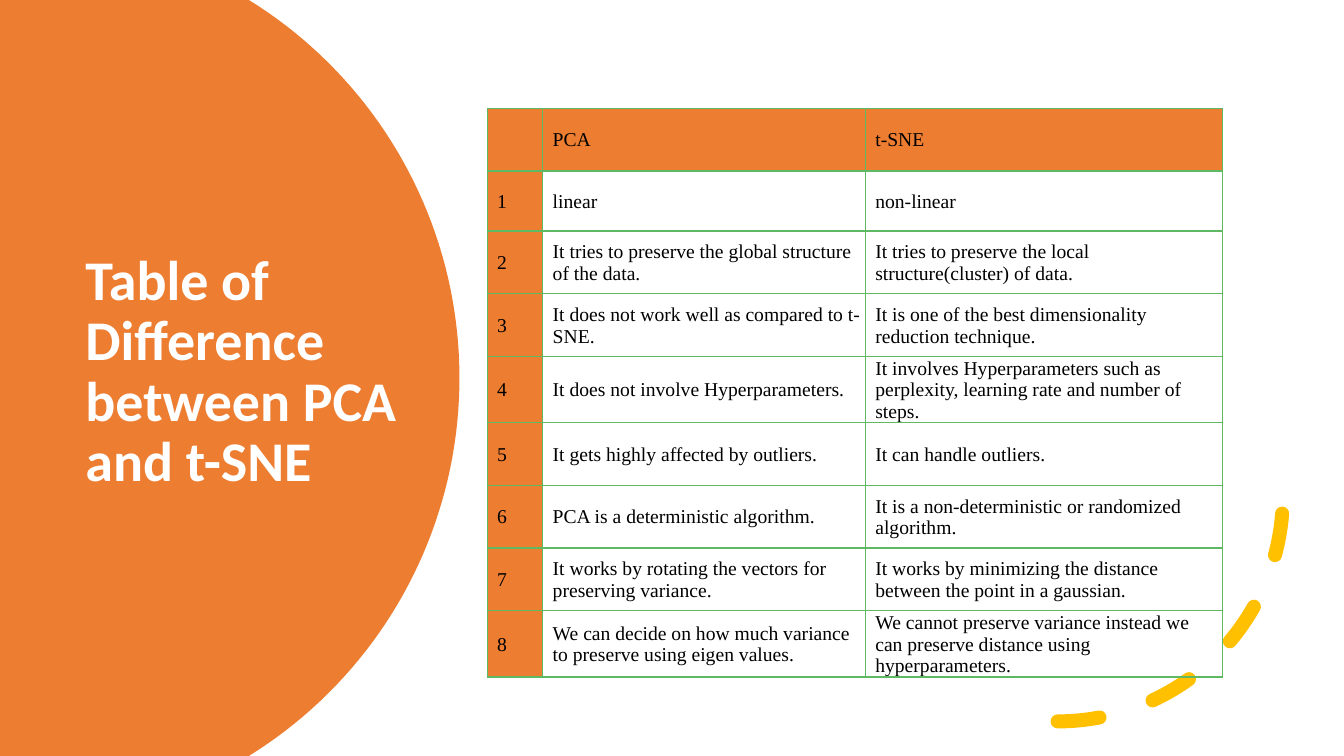
import math

import pptx
import pptx.dml.color
import pptx.enum.dml
import pptx.enum.shapes
import pptx.enum.text
import pptx.oxml
import pptx.oxml.ns
import pptx.util

Cm = pptx.util.Cm
Pt = pptx.util.Pt
RGBColor = pptx.dml.color.RGBColor
MIDDLE = pptx.enum.text.MSO_ANCHOR.MIDDLE

ORANGE = RGBColor(0xED, 0x7D, 0x31)
AMBER = RGBColor(0xFF, 0xC0, 0x00)
GREEN = RGBColor(0x5F, 0xB9, 0x62)
WHITE = RGBColor(0xFF, 0xFF, 0xFF)
BLACK = RGBColor(0x00, 0x00, 0x00)

SLIDE_WIDTH, SLIDE_HEIGHT = Cm(33.87), Cm(19.05)
NO_STYLE = "{2D5ABB26-0587-4C30-8999-92F81FD0307C}"
TITLE_FONT = {"name": "Calibri", "size": Pt(40), "bold": True}
CELL_FONT = {"name": "Times New Roman", "size": Pt(14), "bold": False}
CELL_FORMAT = {
    "vertical_anchor": MIDDLE,
    "margin_left": Cm(0.25),
    "margin_right": Cm(0.03),
    "margin_top": Cm(0.03),
    "margin_bottom": Cm(0),
}
COLUMN_WIDTHS = [1.4, 8.13, 9.0]
ROW_HEIGHT, FIRST_ROW_HEIGHT = 1.58, 1.51
DIFFERENCES = [
    ("linear", "non-linear"),
    ("It tries to preserve the global structure of the data.",
     "It tries to preserve the local structure(cluster) of data."),
    ("It does not work well as compared to t-SNE.",
     "It is one of the best dimensionality reduction technique."),
    ("It does not involve Hyperparameters.",
     "It involves Hyperparameters such as perplexity, learning rate and number of steps."),
    ("It gets highly affected by outliers.", "It can handle outliers."),
    ("PCA is a deterministic algorithm.",
     "It is a non-deterministic or randomized algorithm."),
    ("It works by rotating the vectors for preserving variance.",
     "It works by minimizing the distance between the point in a gaussian."),
    ("We can decide on how much variance to preserve using eigen values.",
     "We cannot preserve variance instead we can preserve distance using hyperparameters."),
]


def apply_format(target, values):
    for name, value in values.items():
        setattr(target, name, value)


def write_text(frame, text, font, color):
    run = frame.paragraphs[0].add_run()
    run.text = text
    apply_format(run.font, font)
    run.font.color.rgb = color


def add_orange_disc(slide):
    radius, center_x, center_y = Cm(11.2), Cm(0.38), SLIDE_HEIGHT / 2
    limit = math.asin(center_y / radius)
    steps = 80
    angles = [limit * (2 * step / steps - 1) for step in range(steps + 1)]
    rim = [(round(center_x + radius * math.cos(angle)),
            round(center_y + radius * math.sin(angle))) for angle in angles]
    builder = slide.shapes.build_freeform(0, 0)
    builder.add_line_segments(rim + [(0, SLIDE_HEIGHT)], close=True)
    disc = builder.convert_to_shape()
    disc.shadow.inherit = False
    disc.fill.solid()
    disc.fill.fore_color.rgb = ORANGE
    disc.line.fill.background()


def place_title(slide):
    title = slide.shapes.title
    apply_format(title, {"left": Cm(1.9), "top": Cm(3.2),
                         "width": Cm(8.9), "height": Cm(12.4)})
    frame = title.text_frame
    apply_format(frame, {"word_wrap": True, "vertical_anchor": MIDDLE,
                         "auto_size": pptx.enum.text.MSO_AUTO_SIZE.NONE})
    apply_format(frame.paragraphs[0], {"line_spacing": 0.9,
                                       "alignment": pptx.enum.text.PP_ALIGN.LEFT})
    write_text(frame, "Table of Difference between PCA and t-SNE", TITLE_FONT, WHITE)


def add_dashed_arc(slide):
    arc = slide.shapes.add_shape(pptx.enum.shapes.MSO_SHAPE.ARC,
                                 Cm(20.98), Cm(6.83), Cm(11.35), Cm(11.35))
    arc.shadow.inherit = False
    arc.fill.background()
    arc.line.color.rgb = AMBER
    apply_format(arc.line, {"width": Pt(10),
                            "dash_style": pptx.enum.dml.MSO_LINE.DASH})
    properties = arc.element.spPr
    properties.find(pptx.oxml.ns.qn("a:xfrm")).set("flipV", "1")
    properties.find(pptx.oxml.ns.qn("a:ln")).set("cap", "rnd")


def set_borders(cell):
    properties = cell._tc.get_or_add_tcPr()
    for position, side in enumerate(("lnL", "lnR", "lnT", "lnB")):
        properties.insert(position, pptx.oxml.parse_xml(
            f'<a:{side} {pptx.oxml.ns.nsdecls("a")} w="12700"><a:solidFill>'
            f'<a:srgbClr val="{GREEN}"/></a:solidFill></a:{side}>'))


def fill_cell(cell, text, is_heading):
    apply_format(cell, CELL_FORMAT)
    if is_heading:
        cell.fill.solid()
        cell.fill.fore_color.rgb = ORANGE
    else:
        cell.fill.background()
    set_borders(cell)
    if text:
        write_text(cell.text_frame, text, CELL_FONT, BLACK)


def add_difference_table(slide):
    rows = [("", "PCA", "t-SNE")]
    rows += [(str(number), *pair) for number, pair in enumerate(DIFFERENCES, 1)]
    heights = [ROW_HEIGHT] * len(rows)
    heights[1] = FIRST_ROW_HEIGHT
    table = slide.shapes.add_table(len(rows), len(COLUMN_WIDTHS), Cm(12.28), Cm(2.73),
                                   Cm(sum(COLUMN_WIDTHS)), Cm(sum(heights))).table
    table._tbl.tblPr.find(pptx.oxml.ns.qn("a:tableStyleId")).text = NO_STYLE
    apply_format(table, {"first_col": True, "horz_banding": False})
    for column, width in zip(table.columns, COLUMN_WIDTHS):
        column.width = Cm(width)
    for row_index, (texts, height) in enumerate(zip(rows, heights)):
        table.rows[row_index].height = Cm(height)
        for column_index, text in enumerate(texts):
            fill_cell(table.cell(row_index, column_index), text,
                      row_index == 0 or column_index == 0)


def main():
    presentation = pptx.Presentation()
    apply_format(presentation, {"slide_width": SLIDE_WIDTH, "slide_height": SLIDE_HEIGHT})
    slide = presentation.slides.add_slide(presentation.slide_layouts[5])
    add_orange_disc(slide)
    place_title(slide)
    slide.shapes._spTree.append(slide.shapes.title.element)
    add_dashed_arc(slide)
    add_difference_table(slide)
    presentation.save("out.pptx")


if __name__ == "__main__":
    main()
